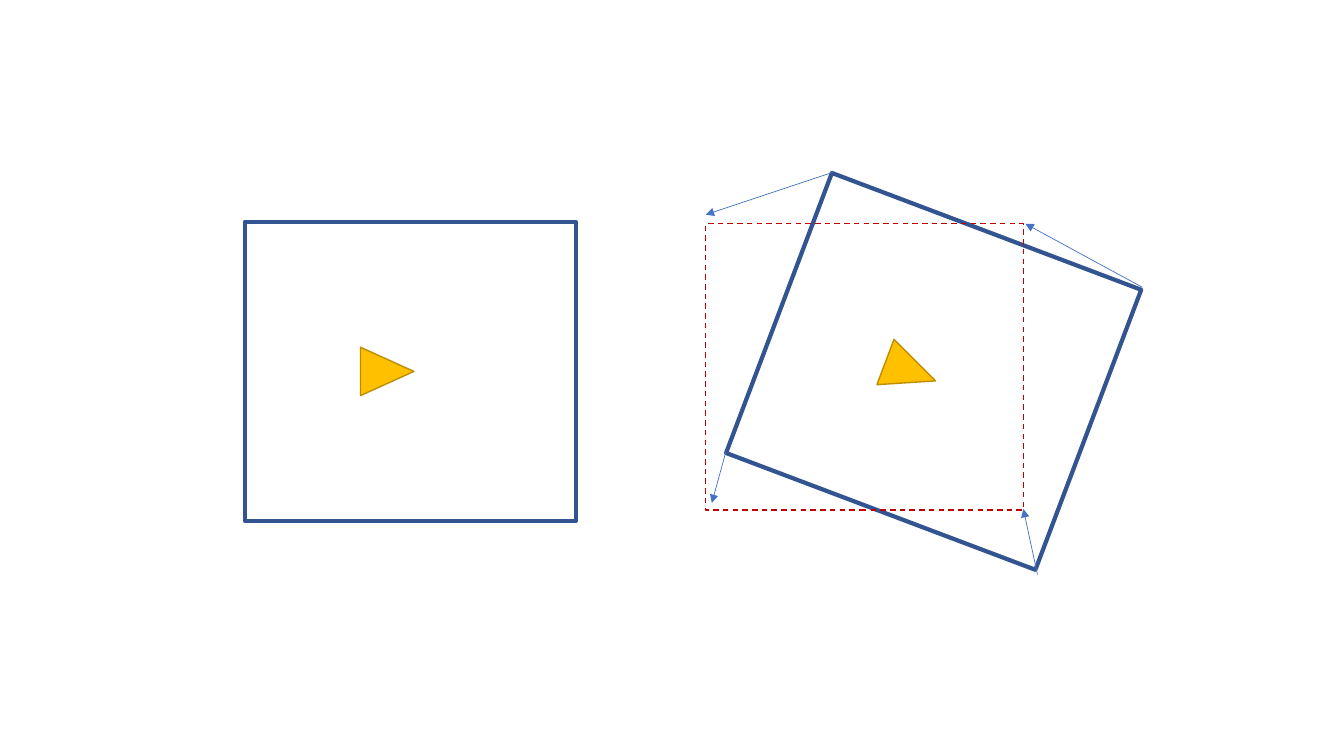
from dataclasses import dataclass
from typing import Optional

from lxml.etree import SubElement
from pptx import Presentation
from pptx.dml.color import RGBColor
from pptx.enum.dml import MSO_LINE
from pptx.enum.shapes import MSO_CONNECTOR, MSO_SHAPE
from pptx.oxml.ns import qn
from pptx.util import Inches, Pt

WHITE = RGBColor(0xFF, 0xFF, 0xFF)
NAVY = RGBColor(0x32, 0x54, 0x91)
GOLD = RGBColor(0xFF, 0xC0, 0x00)
DARK_GOLD = RGBColor(0xBD, 0x8E, 0x00)
RED = RGBColor(0xC0, 0x00, 0x00)
BLUE = RGBColor(0x44, 0x72, 0xC4)

TOP = 2.2
TILT = 20.7


@dataclass
class Style:
    line: RGBColor
    weight: float
    fill: Optional[RGBColor] = None
    dash: Optional[MSO_LINE] = None


@dataclass
class Arrow:
    start: tuple[float, float]
    end: tuple[float, float]


FRAME = Style(NAVY, 3, WHITE)
MARKER = Style(DARK_GOLD, 1, GOLD)
BOUNDS = Style(RED, 1, dash=MSO_LINE.DASH)


def draw_shape(page, kind: MSO_SHAPE, left: float, top: float, width: float,
               height: float, style: Style, rotation: float = 0) -> None:
    shape = page.shapes.add_shape(
        kind, Inches(left), Inches(top), Inches(width), Inches(height))
    shape.shadow.inherit = False
    shape.rotation = rotation
    if style.fill is None:
        shape.fill.background()
    else:
        shape.fill.solid()
        shape.fill.fore_color.rgb = style.fill
    shape.line.color.rgb = style.line
    line_format = {"width": Pt(style.weight), "dash_style": style.dash}
    for name, value in line_format.items():
        setattr(shape.line, name, value)


def draw_view(page, left: float, rotation: float) -> None:
    """Draw a frame with its triangle, both turned by the same angle."""
    draw_shape(page, MSO_SHAPE.RECTANGLE, left, TOP, 3.28, 2.97, FRAME, rotation)
    draw_shape(page, MSO_SHAPE.ISOSCELES_TRIANGLE, left + 1.17, TOP + 1.22,
               0.48, 0.53, MARKER, rotation + 90)


def draw_arrow(page, arrow: Arrow) -> None:
    points = [Inches(value) for value in (*arrow.start, *arrow.end)]
    connector = page.shapes.add_connector(MSO_CONNECTOR.STRAIGHT, *points)
    connector.line.color.rgb = BLUE
    connector.line.width = Pt(0.5)
    outline = connector.line._get_or_add_ln()
    SubElement(outline, qn("a:tailEnd"), type="triangle")
    SubElement(connector._element.spPr, qn("a:effectLst"))


deck = Presentation()
deck.slide_width, deck.slide_height = Inches(13.33), Inches(7.5)
page = deck.slides.add_slide(deck.slide_layouts[6])

# Upright view and tilted view
for left, rotation in ((2.43, 0), (7.62, TILT)):
    draw_view(page, left, rotation)

# Dashed target bounds
draw_shape(page, MSO_SHAPE.RECTANGLE, 7, 2.22, 3.15, 2.84, BOUNDS)

# Arrows from the tilted corners to the target corners
corner_arrows = [
    Arrow((8.26, 1.71), (7, 2.13)),
    Arrow((11.33, 2.85), (10.17, 2.22)),
    Arrow((10.29, 5.7), (10.15, 5.05)),
    Arrow((7.2, 4.48), (7.06, 4.99)),
]
for arrow in corner_arrows:
    draw_arrow(page, arrow)

deck.save("out.pptx")
